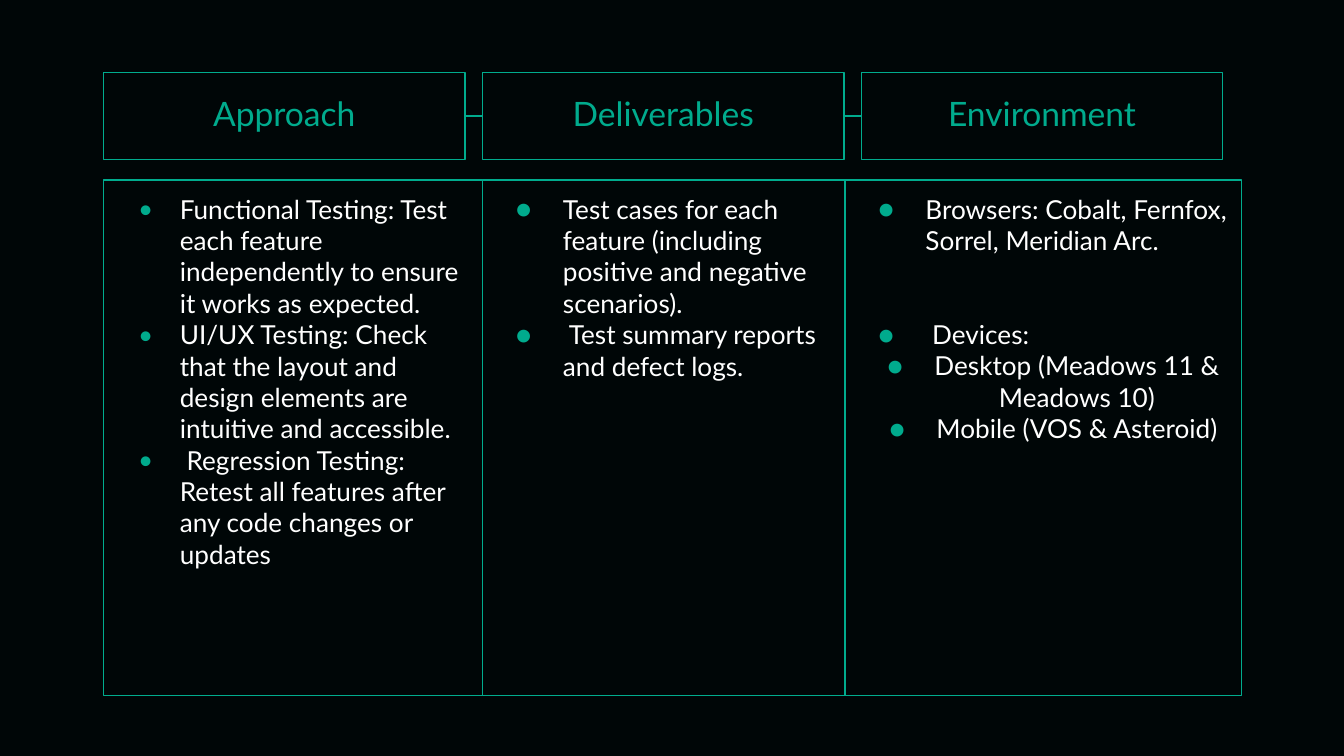
from dataclasses import dataclass

from lxml.etree import SubElement
from pptx import Presentation
from pptx.dml.color import RGBColor
from pptx.enum.shapes import MSO_CONNECTOR, MSO_SHAPE
from pptx.enum.text import MSO_ANCHOR, PP_ALIGN
from pptx.oxml.ns import qn
from pptx.util import Cm, Pt


@dataclass(frozen=True)
class Theme:
    """Colours, font and type sizes of the deck."""
    background: RGBColor = RGBColor.from_string("000607")
    accent: RGBColor = RGBColor.from_string("00AB8D")
    text: RGBColor = RGBColor.from_string("FFFFFF")
    font: str = "Lato"
    heading: Pt = Pt(18)
    body: Pt = Pt(14)
    line: Pt = Pt(0.75)


@dataclass(frozen=True)
class Box:
    """A rectangle in centimetres."""
    left: float
    top: float
    width: float
    height: float


@dataclass(frozen=True)
class Item:
    """A bulleted paragraph."""
    text: str
    nested: bool = False
    gap: float = 0


@dataclass(frozen=True)
class Column:
    """A heading with its list and bullet style."""
    heading: str
    items: tuple
    bullet: str = "●"
    indent: float = 1.27
    hanging: float = 0.89


THEME = Theme()
MARGIN, PITCH = 1.96, 7.16
HEADER_TOP, HEADER_WIDTH, HEADER_HEIGHT = 1.37, 6.83, 1.65
BODY_TOP, BODY_HEIGHT = 3.4, 9.75
BODY_EDGES = (1.96, 9.12, 15.97, 23.47)
INSET = 0.25

COLUMNS = (
    Column("Approach", (
        Item("Functional Testing: Test each feature independently to ensure it works as expected."),
        Item("UI/UX Testing: Check that the layout and design elements are intuitive and accessible."),
        Item(" Regression Testing: Retest all features after any code changes or updates"),
    ), "•", 1.19, 0.79),
    Column("Deliverables", (
        Item("Test cases for each feature (including positive and negative scenarios)."),
        Item(" Test summary reports and defect logs."),
    )),
    Column("Environment", (
        Item("Browsers: Cobalt, Fernfox, Sorrel, Meridian Arc."),
        Item(" Devices:", gap=33.6),
        Item("Desktop (Meadows 11 & Meadows 10)", nested=True),
        Item("Mobile (VOS & Asteroid)", nested=True),
    )),
)


def add_panel(slide, box, anchor, bottom_inset=INSET):
    """Draw an outlined panel and return its text frame."""
    panel = slide.shapes.add_shape(
        MSO_SHAPE.RECTANGLE, Cm(box.left), Cm(box.top), Cm(box.width), Cm(box.height))
    panel.shadow.inherit = False
    panel.fill.background()
    panel.line.color.rgb = THEME.accent
    panel.line.width = THEME.line
    frame = panel.text_frame
    frame.word_wrap = True
    frame.vertical_anchor = anchor
    frame.margin_left = frame.margin_right = frame.margin_top = Cm(INSET)
    frame.margin_bottom = Cm(bottom_inset)
    return frame


def add_span(para, text, size, color):
    """Add one formatted run to a paragraph."""
    span = para.add_run()
    span.text = text
    span.font.name = THEME.font
    span.font.size = size
    span.font.color.rgb = color


def set_bullet(para, column):
    """Give a paragraph the hanging bullet of its column."""
    properties = para._p.get_or_add_pPr()
    properties.set("marL", str(Cm(column.indent)))
    properties.set("indent", str(-Cm(column.hanging)))
    color = SubElement(properties, qn("a:buClr"))
    SubElement(color, qn("a:srgbClr"), val=str(THEME.accent))
    SubElement(properties, qn("a:buFont"), typeface=THEME.font)
    SubElement(properties, qn("a:buChar"), char=column.bullet)


def add_header(slide, box, heading):
    """Place a column heading in its box."""
    para = add_panel(slide, box, MSO_ANCHOR.BOTTOM, 0.51).paragraphs[0]
    para.alignment = PP_ALIGN.CENTER
    add_span(para, heading, THEME.heading, THEME.accent)


def add_body(slide, box, column):
    """Place the bulleted list of a column in its box."""
    frame = add_panel(slide, box, MSO_ANCHOR.TOP)
    for index, item in enumerate(column.items):
        para = frame.add_paragraph() if index else frame.paragraphs[0]
        para.alignment = PP_ALIGN.CENTER if item.nested else PP_ALIGN.LEFT
        para.level = 3 if item.nested else 0
        para.space_before = Pt(item.gap)
        set_bullet(para, column)
        add_span(para, item.text, THEME.body, THEME.text)


def add_link(slide, box):
    """Join a header box to the next one on its right."""
    middle = Cm(box.top + box.height / 2)
    link = slide.shapes.add_connector(
        MSO_CONNECTOR.STRAIGHT, Cm(box.left + box.width), middle,
        Cm(box.left + PITCH), middle)
    link.line.color.rgb = THEME.accent
    link.line.width = THEME.line
    SubElement(link._element.spPr, qn("a:effectLst"))


def add_columns_slide(deck):
    """Build the slide with three linked columns."""
    slide = deck.slides.add_slide(deck.slide_layouts[6])
    slide.background.fill.solid()
    slide.background.fill.fore_color.rgb = THEME.background
    for index, column in enumerate(COLUMNS):
        left, right = BODY_EDGES[index:index + 2]
        header = Box(MARGIN + index * PITCH, HEADER_TOP, HEADER_WIDTH, HEADER_HEIGHT)
        add_header(slide, header, column.heading)
        add_body(slide, Box(left, BODY_TOP, right - left, BODY_HEIGHT), column)
        if index < len(COLUMNS) - 1:
            add_link(slide, header)


def main():
    """Create and save the deck."""
    deck = Presentation()
    deck.slide_width, deck.slide_height = Cm(25.4), Cm(14.29)
    add_columns_slide(deck)
    deck.save("out.pptx")


if __name__ == "__main__":
    main()
